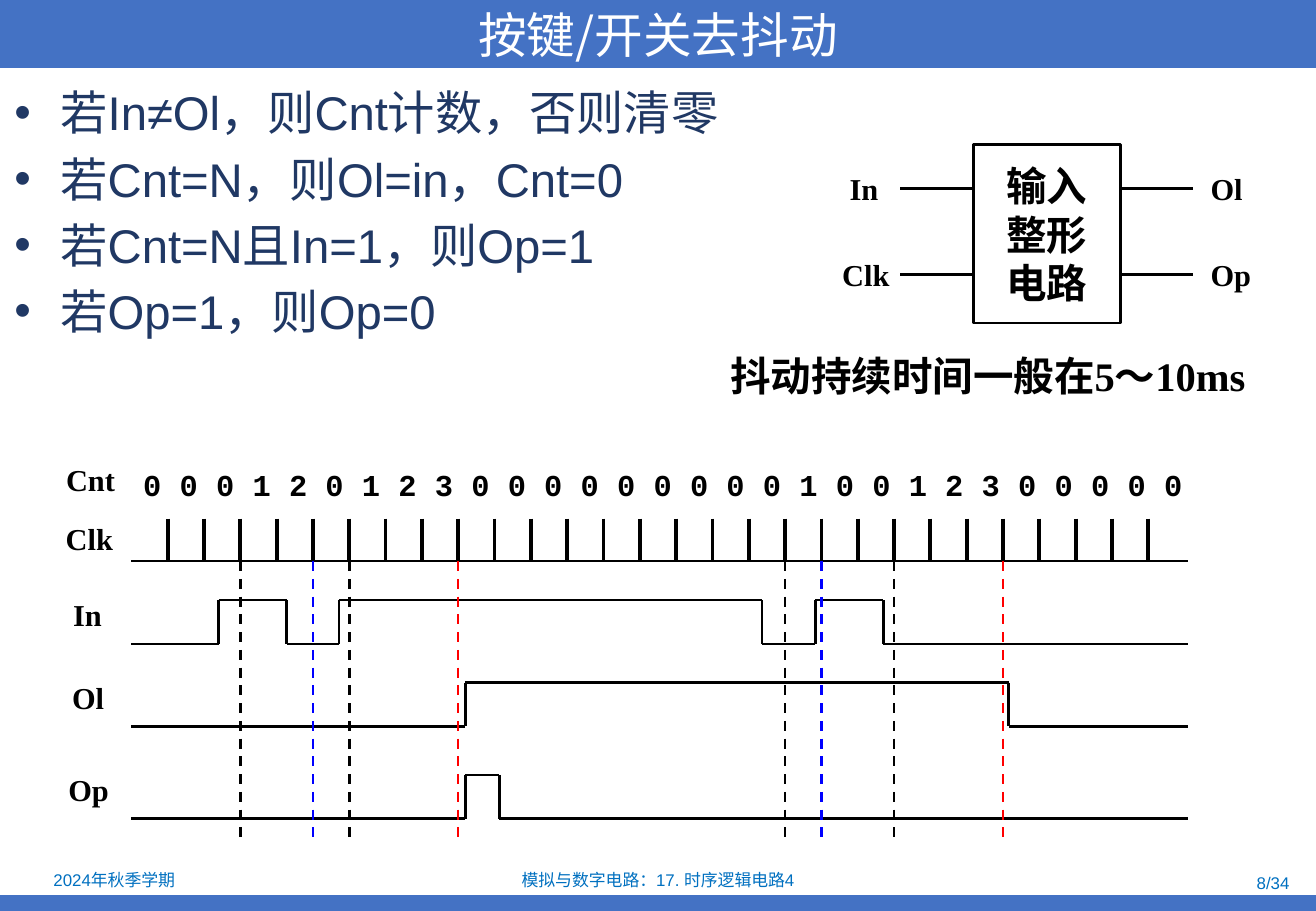
"""Build a slide on debouncing keys and switches with a timing diagram."""
from dataclasses import dataclass
from itertools import pairwise

from lxml import etree
from pptx import Presentation
from pptx.dml.color import RGBColor
from pptx.enum import dml, shapes, text
from pptx.oxml import ns
from pptx.util import Inches, Pt


@dataclass(frozen=True)
class Theme:
    bar: str = "4472C4"
    white: str = "FFFFFF"
    black: str = "000000"
    body: str = "203864"
    footer: str = "0070C0"
    blue: str = "0000FF"
    red: str = "FF0000"
    title_size: float = 28.8
    body_size: float = 28
    note_size: float = 24
    label_size: float = 18
    footer_size: float = 10
    thin: float = 1.5
    thick: float = 2.25
    sans: str = "Arial"
    serif: str = "Times New Roman"
    mono: str = "Courier New"
    cjk: str = "Noto Sans CJK SC"


THEME = Theme()
LEFT, CENTER, RIGHT = text.PP_ALIGN.LEFT, text.PP_ALIGN.CENTER, text.PP_ALIGN.RIGHT
TOP, MIDDLE = text.MSO_ANCHOR.TOP, text.MSO_ANCHOR.MIDDLE

RULES = ["若In≠Ol，则Cnt计数，否则清零", "若Cnt=N，则Ol=in，Cnt=0",
         "若Cnt=N且In=1，则Op=1", "若Op=1，则Op=0"]
COUNTS = "0 0 0 1 2 0 1 2 3 0 0 0 0 0 0 0 0 0 1 0 0 1 2 3 0 0 0 0 0"
WAVE_START, WAVE_END, WAVE_HEIGHT = 1.08, 9.78, 0.36
CLOCK_TOP, CLOCK_BASE, CURSOR_END = 4.27, 4.62, 6.9
FIRST_TICK, LAST_TICK, TICKS = 1.38, 9.45, 28
WAVES = [(5.3, [1.8, 2.36, 2.79, 6.27, 6.71, 7.27]),
         (5.98, [3.83, 8.3]),
         (6.74, [3.83, 4.11])]
CURSORS = {2: THEME.black, 4: THEME.blue, 5: THEME.black, 8: THEME.red,
           17: THEME.black, 18: THEME.blue, 20: THEME.black, 23: THEME.red}
WAVE_LABELS = [("Cnt", 0.44, 3.75, 0.61), ("Clk", 0.44, 4.23, 0.59),
               ("In", 0.5, 4.86, 0.44), ("Ol", 0.49, 5.54, 0.47),
               ("Op", 0.46, 6.3, 0.54)]
PIN_LABELS = [("In", 6.89, 1.35, 0.44), ("Clk", 6.83, 2.06, 0.59),
              ("Ol", 9.86, 1.35, 0.47), ("Op", 9.86, 2.06, 0.54)]


def write(frame, lines, font=THEME.serif, size=THEME.label_size, color=THEME.black,
          bold=False, align=LEFT, anchor=TOP, wrap=True, bullet=False, gap=0):
    """Fill a text frame with one formatted paragraph per line."""
    frame.auto_size = text.MSO_AUTO_SIZE.NONE
    frame.word_wrap = wrap
    frame.vertical_anchor = anchor
    for number, line in enumerate(lines):
        paragraph = frame.add_paragraph() if number else frame.paragraphs[0]
        paragraph.alignment = align
        paragraph.space_before = Pt(gap if number else 0)
        if bullet:
            properties = paragraph._p.get_or_add_pPr()
            properties.set("marL", str(Inches(0.38)))
            properties.set("indent", str(Inches(-0.38)))
            etree.SubElement(properties, ns.qn("a:buFont"), typeface=THEME.sans)
            etree.SubElement(properties, ns.qn("a:buChar"), char="•")
        run = paragraph.add_run()
        run.text = line
        run.font.name = font
        run.font.size = Pt(size)
        run.font.bold = bold
        run.font.color.rgb = RGBColor.from_string(color)


def add_text(slide, lines, left, top, width, height, **style):
    """Add a text box with formatted lines."""
    box = slide.shapes.add_textbox(*map(Inches, (left, top, width, height)))
    write(box.text_frame, lines, **style)


def add_box(slide, left, top, width, height, fill=None, outline=None):
    """Add a rectangle with an optional fill and outline."""
    box = slide.shapes.add_shape(shapes.MSO_SHAPE.RECTANGLE,
                                 *map(Inches, (left, top, width, height)))
    box.shadow.inherit = False
    if fill:
        box.fill.solid()
        box.fill.fore_color.rgb = RGBColor.from_string(fill)
    else:
        box.fill.background()
    if outline:
        box.line.color.rgb = RGBColor.from_string(outline)
        box.line.width = Pt(THEME.thin)
    else:
        box.line.fill.background()
    return box


def add_line(slide, start, end, color=THEME.black, width=THEME.thin, dashed=False):
    """Draw a straight line between two points."""
    line = slide.shapes.add_connector(shapes.MSO_CONNECTOR.STRAIGHT,
                                      *map(Inches, (*start, *end)))
    line.line.color.rgb = RGBColor.from_string(color)
    line.line.width = Pt(width)
    if dashed:
        line.line.dash_style = dml.MSO_LINE.DASH
    etree.SubElement(line._element.spPr, ns.qn("a:effectLst"))


def add_wave(slide, low, edges):
    """Draw a digital signal that starts low and toggles at each edge."""
    points, level = [(WAVE_START, low)], low
    for edge in edges:
        points.append((edge, level))
        level = low - WAVE_HEIGHT if level == low else low
        points.append((edge, level))
    points.append((WAVE_END, level))
    for start, end in pairwise(points):
        add_line(slide, start, end)


def add_title(slide, title):
    """Turn the title placeholder into the top bar."""
    bar = slide.shapes.title
    bar.left, bar.top, bar.width, bar.height = map(Inches, (0, 0, 10.83, 0.56))
    bar.fill.solid()
    bar.fill.fore_color.rgb = RGBColor.from_string(THEME.bar)
    write(bar.text_frame, [title], font=THEME.cjk, size=THEME.title_size,
          color=THEME.white, align=CENTER, anchor=MIDDLE)


def add_footer(slide):
    """Add the bottom bar and the three footer texts."""
    add_box(slide, 0, 7.37, 10.83, 0.13, fill=THEME.bar)
    for words, left, top, width, height, align in [
            ("2024年秋季学期", 0.02, 7.13, 1.84, 0.23, CENTER),
            ("模拟与数字电路：17. 时序逻辑电路4", 3.7, 7.14, 3.43, 0.21, CENTER),
            ("8/34", 8.18, 7.16, 2.53, 0.21, RIGHT)]:
        add_text(slide, [words], left, top, width, height, font=THEME.sans,
                 size=THEME.footer_size, color=THEME.footer, align=align, anchor=MIDDLE)


def add_labels(slide, labels):
    """Add signal names."""
    for name, left, top, width in labels:
        add_text(slide, [name], left, top, width, 0.4, bold=True, wrap=False,
                 align=CENTER)


def add_circuit(slide):
    """Draw the input shaping block with its pins."""
    block = add_box(slide, 8.01, 1.19, 1.21, 1.47, outline=THEME.black)
    write(block.text_frame, ["输入", "整形", "电路"], size=THEME.note_size, bold=True,
          align=CENTER, anchor=MIDDLE)
    for pin_left in (7.41, 9.22):
        for pin_y in (1.55, 2.26):
            add_line(slide, (pin_left, pin_y), (pin_left + 0.6, pin_y))
    add_labels(slide, PIN_LABELS)


def add_timing(slide):
    """Draw the counter values, clock, signals and time cursors."""
    add_text(slide, [COUNTS], WAVE_START, 3.79, 8.78, 0.4, font=THEME.mono, bold=True)
    add_line(slide, (WAVE_START, CLOCK_BASE), (WAVE_END, CLOCK_BASE))
    period = (LAST_TICK - FIRST_TICK) / (TICKS - 1)
    ticks = [FIRST_TICK + period * number for number in range(TICKS)]
    for tick in ticks:
        add_line(slide, (tick, CLOCK_TOP), (tick, CLOCK_BASE), width=THEME.thick)
    for low, edges in WAVES:
        add_wave(slide, low, edges)
    add_labels(slide, WAVE_LABELS)
    for number, color in CURSORS.items():
        add_line(slide, (ticks[number], CLOCK_BASE), (ticks[number], CURSOR_END),
                 color=color, dashed=True)


def main():
    """Build and save the slide."""
    deck = Presentation()
    deck.slide_width, deck.slide_height = Inches(10.83), Inches(7.5)
    slide = deck.slides.add_slide(deck.slide_layouts[5])
    add_title(slide, "按键/开关去抖动")
    add_footer(slide)
    add_text(slide, RULES, 0.02, 0.64, 10.81, 6.5, font=THEME.sans,
             size=THEME.body_size, color=THEME.body, bullet=True, gap=5.6)
    add_circuit(slide)
    add_text(slide, ["抖动持续时间一般在5～10ms"], 5.91, 2.84, 4.5, 0.9,
             size=THEME.note_size, bold=True)
    add_timing(slide)
    deck.save("out.pptx")


if __name__ == "__main__":
    main()
